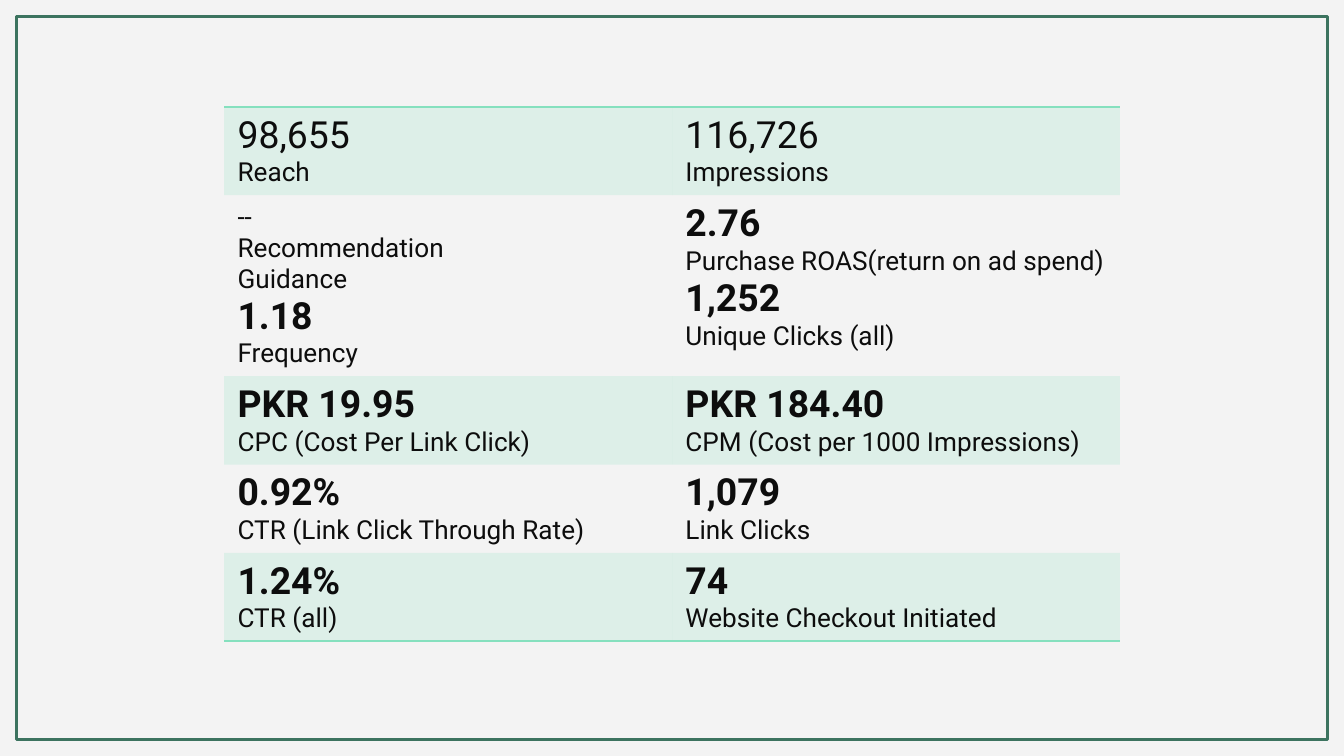
from lxml.etree import SubElement
from pptx import Presentation
from pptx.dml.color import RGBColor
from pptx.enum.shapes import MSO_SHAPE
from pptx.oxml import parse_xml
from pptx.oxml.ns import nsdecls, qn
from pptx.util import Cm, Pt

COLORS = {"background": "F3F3F3", "frame": "3C735F", "band": "85E0BE", "text": "0D0D0D"}
FONT = "Roboto"
PLAIN_TABLE_STYLE = "{2D5ABB26-0587-4C30-8999-92F81FD0307C}"
LABEL, FIGURE, BOLD_FIGURE = (14, False), (20, False), (20, True)
METRICS = [
    ([("98,655", FIGURE), ("Reach", LABEL)],
     [("116,726", FIGURE), ("Impressions", LABEL)]),
    ([("--", LABEL), ("Recommendation", LABEL), ("Guidance", LABEL),
      ("1.18", BOLD_FIGURE), ("Frequency", LABEL)],
     [("2.76", BOLD_FIGURE), ("Purchase ROAS(return on ad spend)", LABEL),
      ("1,252", BOLD_FIGURE), ("Unique Clicks (all)", LABEL)]),
    ([("PKR 19.95", BOLD_FIGURE), ("CPC (Cost Per Link Click)", LABEL)],
     [("PKR 184.40", BOLD_FIGURE), ("CPM (Cost per 1000 Impressions)", LABEL)]),
    ([("0.92%", BOLD_FIGURE), ("CTR (Link Click Through Rate)", LABEL)],
     [("1,079", BOLD_FIGURE), ("Link Clicks", LABEL)]),
    ([("1.24%", BOLD_FIGURE), ("CTR (all)", LABEL)],
     [("74", BOLD_FIGURE), ("Website Checkout Initiated", LABEL)]),
]
ROW_HEIGHTS = [1.67, 3.42, 1.67, 1.67, 1.67]


def color(name):
    return RGBColor.from_string(COLORS[name])


def add_frame(slide, left, top, width, height):
    frame = slide.shapes.add_shape(MSO_SHAPE.RECTANGLE, left, top, width, height)
    frame.shadow.inherit = False
    frame.fill.background()
    frame.line.color.rgb = color("frame")
    frame.line.width = Pt(1.5)


def write_lines(cell, lines):
    text_frame = cell.text_frame
    text_frame.text = "\n".join(text for text, style in lines)
    for paragraph, (text, (size, bold)) in zip(text_frame.paragraphs, lines):
        font = paragraph.runs[0].font
        font.name = FONT
        font.size = Pt(size)
        font.bold = bold
        font.color.rgb = color("text")


def shade_cell(cell):
    cell.fill.solid()
    cell.fill.fore_color.rgb = color("band")
    properties = cell._tc.get_or_add_tcPr()
    fill_color = properties.find(qn("a:solidFill")).find(qn("a:srgbClr"))
    SubElement(fill_color, qn("a:alpha")).set("val", "20000")


def add_border(cell, side):
    border = parse_xml(
        f'<a:{side} {nsdecls("a")} w="{Pt(1)}"><a:solidFill>'
        f'<a:srgbClr val="{COLORS["band"]}"/></a:solidFill></a:{side}>'
    )
    cell._tc.get_or_add_tcPr().insert(0, border)


def add_metrics_table(slide, left, top, width, height):
    row_count, column_count = len(METRICS), len(METRICS[0])
    table = slide.shapes.add_table(
        row_count, column_count, left, top, width, height
    ).table
    table.first_row = False
    table.horz_banding = False
    table._tbl.tblPr.find(qn("a:tableStyleId")).text = PLAIN_TABLE_STYLE
    for row_index, metrics in enumerate(METRICS):
        table.rows[row_index].height = Cm(ROW_HEIGHTS[row_index])
        for column_index, lines in enumerate(metrics):
            cell = table.cell(row_index, column_index)
            write_lines(cell, lines)
            if row_index % 2 == 0:
                shade_cell(cell)
            else:
                cell.fill.background()
            if row_index == 0:
                add_border(cell, "lnT")
            if row_index == row_count - 1:
                add_border(cell, "lnB")


def main():
    presentation = Presentation()
    presentation.slide_width = Cm(25.4)
    presentation.slide_height = Cm(14.29)
    slide = presentation.slides.add_slide(presentation.slide_layouts[6])
    slide.background.fill.solid()
    slide.background.fill.fore_color.rgb = color("background")
    margin = Cm(0.31)
    add_frame(slide, margin, margin, presentation.slide_width - 2 * margin,
              presentation.slide_height - 2 * margin)
    table_width = Cm(16.93)
    add_metrics_table(slide, (presentation.slide_width - table_width) // 2, Cm(2.02),
                      table_width, Cm(sum(ROW_HEIGHTS)))
    presentation.save("out.pptx")


if __name__ == "__main__":
    main()
